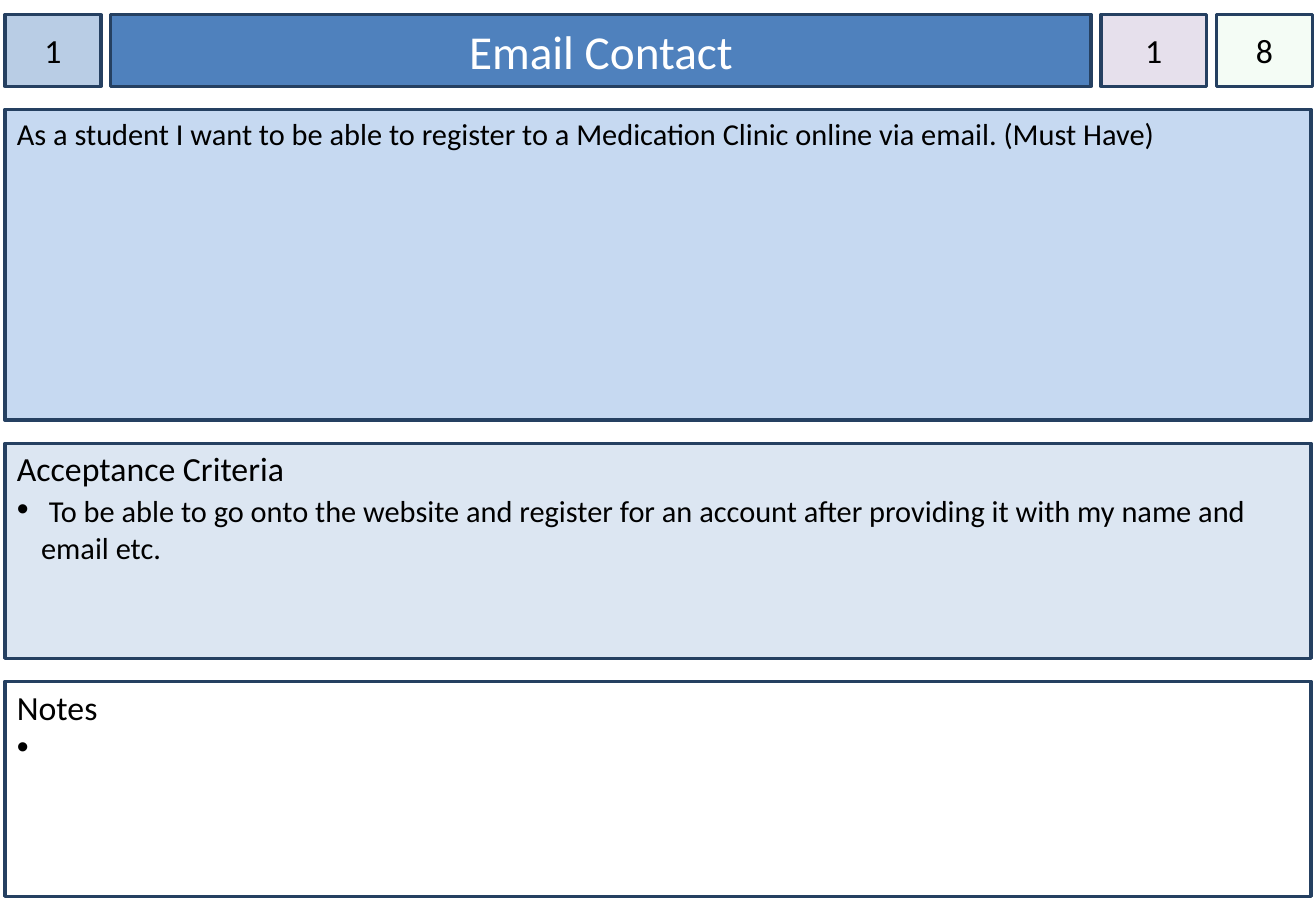
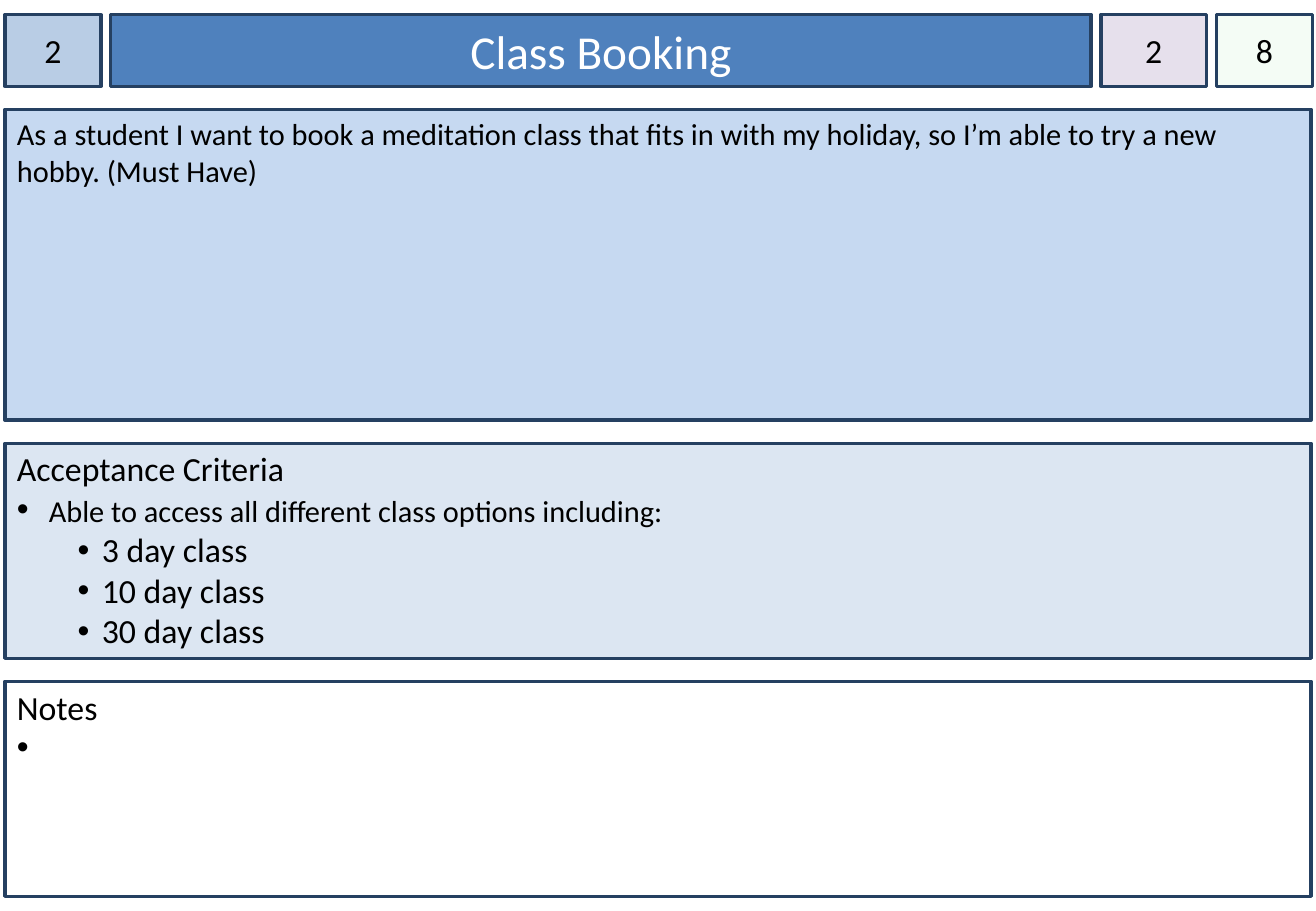
"""Build user story cards, one per slide."""
from lxml import etree
from pptx import Presentation
from pptx.dml.color import RGBColor
from pptx.enum import shapes, text
from pptx.oxml import ns
from pptx.util import Inches, Pt

BLACK = RGBColor(0x00, 0x00, 0x00)
WHITE = RGBColor(0xFF, 0xFF, 0xFF)
NAVY = RGBColor(0x25, 0x40, 0x61)
BLUE = RGBColor(0x4F, 0x81, 0xBD)
STEEL = RGBColor(0xB9, 0xCD, 0xE5)
SKY = RGBColor(0xC6, 0xD9, 0xF1)
PALE = RGBColor(0xDC, 0xE6, 0xF2)
LILAC = RGBColor(0xE6, 0xE0, 0xEC)
MINT = RGBColor(0xCC, 0xF0, 0xCD)

FONT = "Calibri"
LEFT, WIDTH = 0.04, 10.75
GAP_X, GAP_Y = 0.08, 0.19

CARDS = [
    {
        "rank": "1", "title": "Email Contact", "sprint": "1", "points": "8",
        "story": "As a student I want to be able to register to a Medication "
                 "Clinic online via email. (Must Have)",
        "goal": "To be able to go onto the website and register for an account "
                "after providing it with my name and email etc.",
        "parts": [],
    },
    {
        "rank": "2", "title": "Class Booking", "sprint": "2", "points": "8",
        "story": "As a student I want to book a meditation class that fits in with "
                 "my holiday, so I’m able to try a new hobby. (Must Have)",
        "goal": "Able to access all different class options including:",
        "parts": ["3 day class", "10 day class", "30 day class"],
    },
]


def place(shape, box, fill):
    """Move a shape to its box and give it the card's fill and border."""
    shape.left, shape.top, shape.width, shape.height = map(Inches, box)
    shape.fill.solid()
    shape.fill.fore_color.rgb = fill
    shape.line.color.rgb = NAVY
    shape.line.width = Pt(2)


def add_box(slide, box, fill):
    """Add a bordered rectangle without a shadow."""
    shape = slide.shapes.add_shape(shapes.MSO_SHAPE.RECTANGLE, *map(Inches, box))
    shape.shadow.inherit = False
    place(shape, box, fill)
    return shape


def style(para, size, color=BLACK, align=text.PP_ALIGN.LEFT):
    """Set the font and alignment of a paragraph."""
    para.alignment = align
    para.font.name = FONT
    para.font.size = Pt(size)
    para.font.color.rgb = color


def bullet(para, level=0):
    """Give a paragraph a hanging bullet at its level."""
    para.level = level
    props = para._p.get_or_add_pPr()
    props.set("marL", str(Inches(0.2 + 0.5 * level)))
    props.set("indent", str(Inches(-0.2)))
    etree.SubElement(props, ns.qn("a:buFont")).set("typeface", "Arial")
    etree.SubElement(props, ns.qn("a:buChar")).set("char", "•")


def add_badge(slide, box, fill, label):
    """Add a small box with a centred number."""
    shape = add_box(slide, box, fill)
    frame = shape.text_frame
    frame.margin_left = frame.margin_right = 0
    frame.text = label
    style(frame.paragraphs[0], 20, align=text.PP_ALIGN.CENTER)
    return shape


def add_panel(slide, box, fill, head, size=20):
    """Add a wide box with top-left text and return its text frame."""
    frame = add_box(slide, box, fill).text_frame
    frame.word_wrap = True
    frame.vertical_anchor = text.MSO_ANCHOR.TOP
    frame.text = head
    style(frame.paragraphs[0], size)
    return frame


def add_list(slide, box, fill, head, goal="", parts=()):
    """Add a headed panel with a bulleted goal and its parts."""
    frame = add_panel(slide, box, fill, head)
    frame.margin_top = Inches(0.04)
    para = frame.add_paragraph()
    bullet(para)
    style(para, 20)
    para.add_run().text = " "
    if goal:
        run = para.add_run()
        run.text = goal
        run.font.size = Pt(18)
    for part in parts:
        para = frame.add_paragraph()
        para.text = part
        bullet(para, 1)
        style(para, 20)


def add_header(slide, card, top, height):
    """Lay out the badges and the title in one row."""
    boxes, x = [], LEFT
    for width in (0.79, 8.07, 0.87, 0.79):
        boxes.append((x, top, width, height))
        x += width + GAP_X
    rank, name, sprint, points = boxes

    title = slide.shapes.title
    place(title, name, BLUE)
    frame = title.text_frame
    frame.text = card["title"]
    frame.auto_size = text.MSO_AUTO_SIZE.NONE
    frame.vertical_anchor = text.MSO_ANCHOR.MIDDLE
    style(frame.paragraphs[0], 28, WHITE, text.PP_ALIGN.CENTER)

    add_badge(slide, rank, STEEL, card["rank"])
    add_badge(slide, sprint, LILAC, card["sprint"])
    badge = add_badge(slide, points, MINT, card["points"])
    color = badge.fill._xPr.find(".//" + ns.qn("a:srgbClr"))
    etree.SubElement(color, ns.qn("a:alpha")).set("val", "20000")


def add_card(deck, card):
    """Add one slide with a header and three stacked panels."""
    slide = deck.slides.add_slide(deck.slide_layouts[5])
    add_header(slide, card, 0.12, 0.59)
    boxes, y = [], 0.9
    for height in (2.56, 1.77, 1.77):
        boxes.append((LEFT, y, WIDTH, height))
        y += height + GAP_Y
    story, goals, notes = boxes
    add_panel(slide, story, SKY, card["story"], 18)
    add_list(slide, goals, PALE, "Acceptance Criteria", card["goal"], card["parts"])
    add_list(slide, notes, WHITE, "Notes")


def main():
    """Build and save the deck."""
    deck = Presentation()
    deck.slide_width, deck.slide_height = Inches(10.83), Inches(7.5)
    for card in CARDS:
        add_card(deck, card)
    deck.save("out.pptx")


if __name__ == "__main__":
    main()
